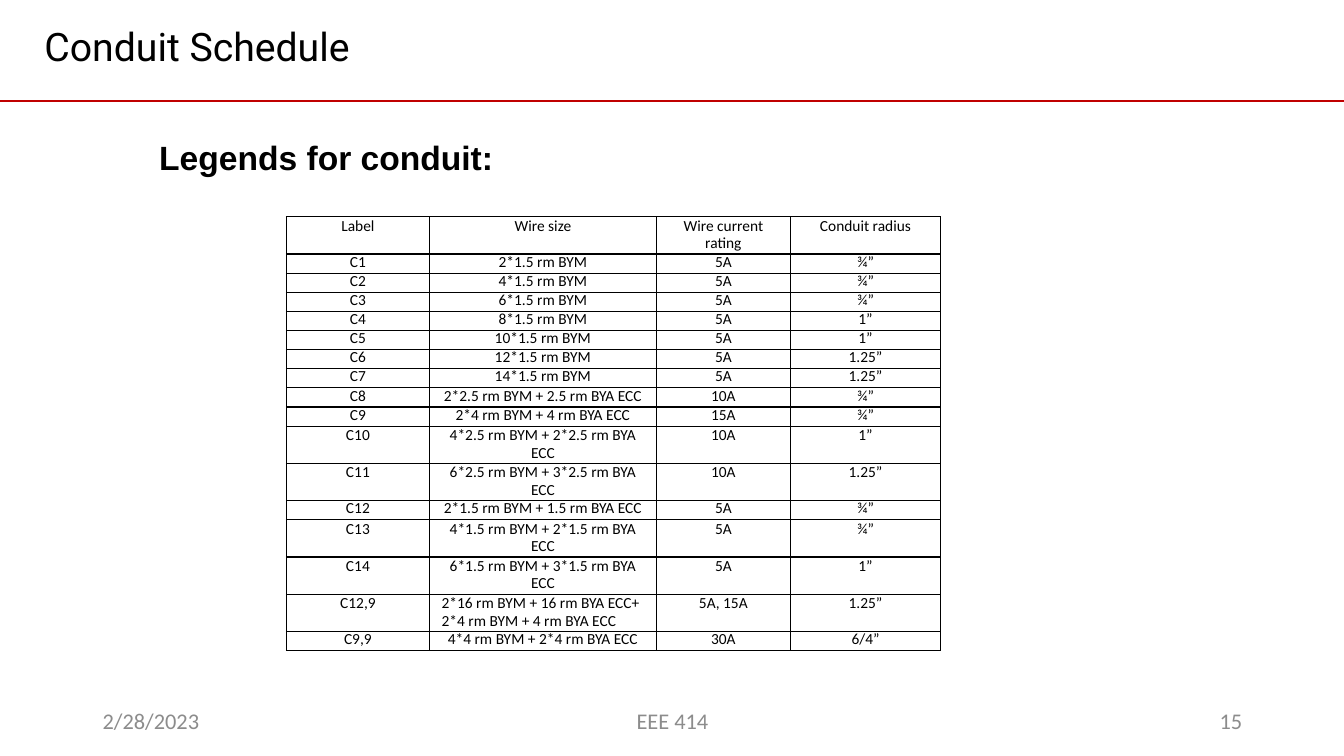
"""Build the conduit schedule slide with its table of wire sizes."""
from pptx import Presentation
from pptx.dml.color import RGBColor
from pptx.enum.shapes import MSO_CONNECTOR
from pptx.enum.text import MSO_ANCHOR, MSO_AUTO_SIZE, PP_ALIGN
from pptx.oxml import parse_xml
from pptx.oxml.ns import nsdecls, qn
from pptx.util import Inches, Pt

TITLE = "Conduit Schedule"
HEADING = "Legends for conduit:"
FOOTERS = [
    ("2/28/2023", 0.92, 3, PP_ALIGN.LEFT),
    ("EEE 414", 4.42, 4.5, PP_ALIGN.CENTER),
    ("15", 9.42, 3, PP_ALIGN.RIGHT),
]
SCHEDULE = [
    ("Label", "Wire size", "Wire current\nrating", "Conduit radius"),
    ("C1", "2*1.5 rm BYM", "5A", "¾”"),
    ("C2", "4*1.5 rm BYM", "5A", "¾”"),
    ("C3", "6*1.5 rm BYM", "5A", "¾”"),
    ("C4", "8*1.5 rm BYM", "5A", "1”"),
    ("C5", "10*1.5 rm BYM", "5A", "1”"),
    ("C6", "12*1.5 rm BYM", "5A", "1.25”"),
    ("C7", "14*1.5 rm BYM", "5A", "1.25”"),
    ("C8", "2*2.5 rm BYM + 2.5 rm BYA ECC", "10A", "¾”"),
    ("C9", "2*4 rm BYM + 4 rm BYA ECC", "15A", "¾”"),
    ("C10", "4*2.5 rm BYM + 2*2.5 rm BYA\nECC", "10A", "1”"),
    ("C11", "6*2.5 rm BYM + 3*2.5 rm BYA\nECC", "10A", "1.25”"),
    ("C12", "2*1.5 rm BYM + 1.5 rm BYA ECC", "5A", "¾”"),
    ("C13", "4*1.5 rm BYM + 2*1.5 rm BYA\nECC", "5A", "¾”"),
    ("C14", "6*1.5 rm BYM + 3*1.5 rm BYA\nECC", "5A", "1”"),
    ("C12,9", "2*16 rm BYM + 16 rm BYA ECC+\n2*4 rm BYM + 4 rm BYA ECC", "5A, 15A", "1.25”"),
    ("C9,9", "4*4 rm BYM + 2*4 rm BYA ECC", "30A", "6/4”"),
]
LEFT_ALIGNED = {("C12,9", 1)}
COLUMN_WIDTHS = [1.42, 2.25, 1.33, 1.49]
COLUMN_INDENTS = [0.48, 0.12, 0.26, 0.28]
SHORT_ROW, TALL_ROW = 0.19, 0.37
BLACK, GREY, RED = "000000", "8C8C8C", "C00000"


def color(value):
    return RGBColor.from_string(value)


def add_run(paragraph, text, size, font, fill=BLACK, bold=False):
    run = paragraph.add_run()
    run.text = text
    run.font.size = Pt(size)
    run.font.name = font
    run.font.bold = bold
    run.font.color.rgb = color(fill)


def add_text_box(slide, left, top, width, height, anchor):
    shape = slide.shapes.add_textbox(Inches(left), Inches(top), Inches(width), Inches(height))
    shape.text_frame.word_wrap = True
    shape.text_frame.vertical_anchor = anchor
    return shape.text_frame


def add_title(slide):
    title = slide.shapes.title
    title.left, title.top = Inches(0.34), Inches(0.17)
    title.width, title.height = Inches(9.48), Inches(0.83)
    frame = title.text_frame
    frame.auto_size = MSO_AUTO_SIZE.NONE
    frame.vertical_anchor = MSO_ANCHOR.TOP
    frame.paragraphs[0].alignment = PP_ALIGN.LEFT
    add_run(frame.paragraphs[0], TITLE, 28, "Roboto")


def add_rule(slide, width):
    rule = slide.shapes.add_connector(MSO_CONNECTOR.STRAIGHT, 0, Inches(1), width, Inches(1))
    rule.line.color.rgb = color(RED)
    rule.line.width = Pt(1.5)
    rule._element.spPr.append(parse_xml(f"<a:effectLst {nsdecls('a')}/>"))


def add_borders(cell):
    properties = cell._tc.get_or_add_tcPr()
    for position, side in enumerate(("lnL", "lnR", "lnT", "lnB")):
        properties.insert(position, parse_xml(
            f'<a:{side} {nsdecls("a")} w="{Pt(1)}"><a:solidFill>'
            f'<a:srgbClr val="{BLACK}"/></a:solidFill></a:{side}>'))


def fill_cell(cell, text, indent, alignment, tall):
    cell.margin_left = cell.margin_right = cell.margin_top = cell.margin_bottom = 0
    cell.fill.background()
    add_borders(cell)
    frame = cell.text_frame
    for number, line in enumerate(text.split("\n")):
        paragraph = frame.add_paragraph() if number else frame.paragraphs[0]
        paragraph.alignment = alignment
        paragraph.line_spacing = Pt(13.4 if tall and number == 0 else 12.4)
        properties = paragraph._p.get_or_add_pPr()
        properties.set("marL", str(Inches(indent)))
        if alignment == PP_ALIGN.CENTER:
            properties.set("marR", str(Inches(indent)))
        add_run(paragraph, line, 11, "Calibri")


def add_schedule(slide):
    tall_rows = [any("\n" in text for text in row) for row in SCHEDULE]
    heights = [TALL_ROW if tall else SHORT_ROW for tall in tall_rows]
    table = slide.shapes.add_table(
        len(SCHEDULE), len(COLUMN_WIDTHS), Inches(2.84), Inches(2.15),
        Inches(sum(COLUMN_WIDTHS)), Inches(sum(heights))).table
    table.first_row = table.horz_banding = False
    for column, width in zip(table.columns, COLUMN_WIDTHS):
        column.width = Inches(width)
    for row_index, (row, height, tall) in enumerate(zip(SCHEDULE, heights, tall_rows)):
        table.rows[row_index].height = Inches(height)
        for column_index, (text, indent) in enumerate(zip(row, COLUMN_INDENTS)):
            left = (row[0], column_index) in LEFT_ALIGNED
            alignment = PP_ALIGN.LEFT if left else PP_ALIGN.CENTER
            fill_cell(table.cell(row_index, column_index), text, indent, alignment, tall)


def main():
    presentation = Presentation()
    presentation.slide_width, presentation.slide_height = Inches(13.33), Inches(7.5)
    slide = presentation.slides.add_slide(presentation.slide_layouts.get_by_name("Title Only"))
    for text, left, width, alignment in FOOTERS:
        paragraph = add_text_box(slide, left, 6.95, width, 0.4, MSO_ANCHOR.MIDDLE).paragraphs[0]
        paragraph.alignment = alignment
        add_run(paragraph, text, 16, "Calibri", GREY)
    add_rule(slide, presentation.slide_width)
    add_title(slide)
    add_schedule(slide)
    heading = add_text_box(slide, 1.48, 1.29, 6.59, 0.81, MSO_ANCHOR.TOP)
    heading.margin_top = Inches(0.07)
    add_run(heading.paragraphs[0], HEADING, 24, "Arial", bold=True)
    presentation.save("out.pptx")


if __name__ == "__main__":
    main()
